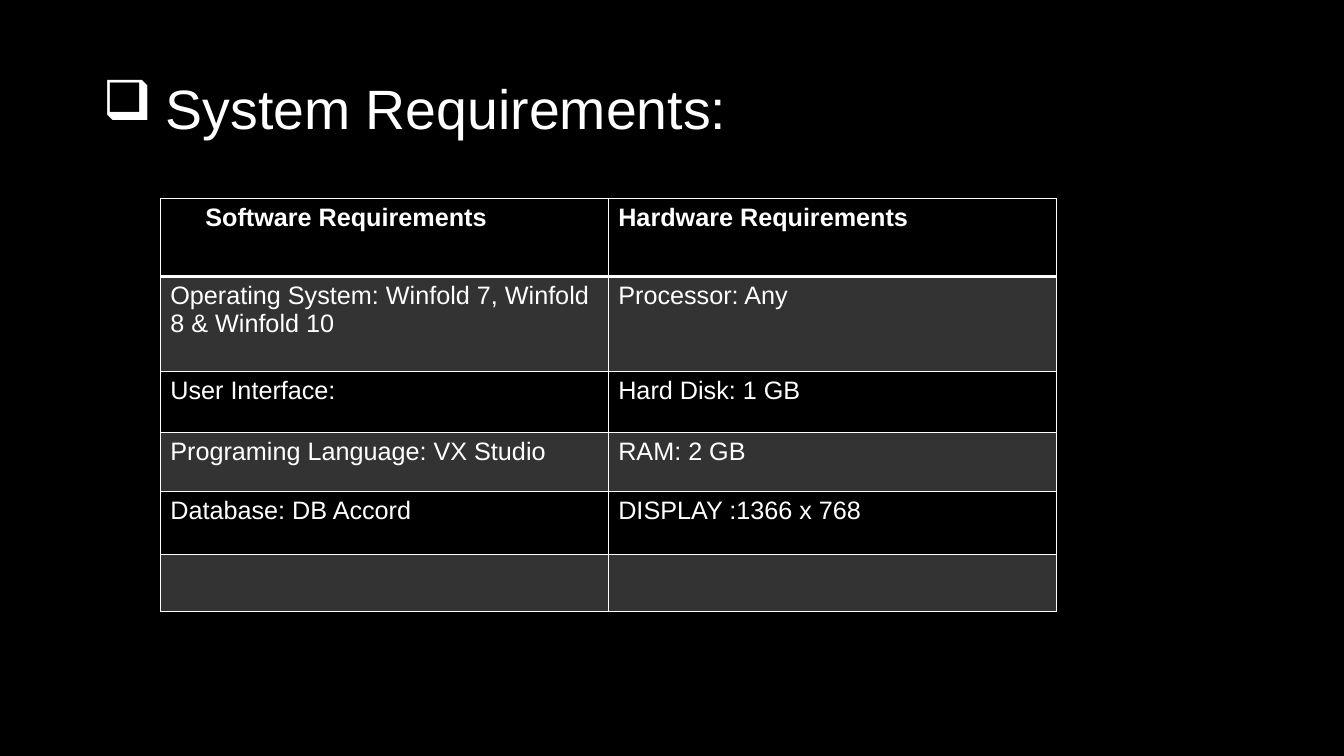
from lxml.etree import SubElement
from pptx import Presentation
from pptx.dml.color import RGBColor
from pptx.enum.text import MSO_ANCHOR, MSO_AUTO_SIZE, PP_ALIGN
from pptx.oxml.ns import qn
from pptx.util import Pt

BLACK, WHITE, BAND = "000000", "FFFFFF", "333333"
ROW_HEIGHTS = [55.6, 68, 43.5, 42.2, 45, 40.8]
REQUIREMENTS = [
    ("Software Requirements", "Hardware Requirements"),
    ("Operating System: Winfold 7, Winfold 8 & Winfold 10", "Processor: Any"),
    ("User Interface:", "Hard Disk: 1 GB"),
    ("Programing Language: VX Studio", "RAM: 2 GB"),
    ("Database: DB Accord", "DISPLAY :1366 x 768"),
    ("", ""),
]


def color(hex_code):
    return RGBColor.from_string(hex_code)


class RequirementsSlide:
    font_name = "Arial"

    def __init__(self, slide):
        self.slide = slide
        self.paint(slide.background.fill, BLACK)

    def paint(self, fill, hex_code):
        fill.solid()
        fill.fore_color.rgb = color(hex_code)

    def style(self, paragraph, size, bold=False):
        font = paragraph.font
        font.name, font.size, font.bold = self.font_name, Pt(size), bold
        font.color.rgb = color(WHITE)

    def indent(self, paragraph, margin, first_line=0):
        properties = paragraph._p.get_or_add_pPr()
        properties.set("marL", str(Pt(margin)))
        properties.set("indent", str(Pt(first_line)))
        return properties

    def title(self, text, left, top, width, height):
        heading = self.slide.shapes.title
        heading.left, heading.top = Pt(left), Pt(top)
        heading.width, heading.height = Pt(width), Pt(height)
        heading.shadow.inherit = False
        self.paint(heading.fill, BLACK)
        frame = heading.text_frame
        frame.text = text
        frame.vertical_anchor = MSO_ANCHOR.MIDDLE
        frame.auto_size = MSO_AUTO_SIZE.NONE
        paragraph = frame.paragraphs[0]
        paragraph.alignment = PP_ALIGN.LEFT
        properties = self.indent(paragraph, 45, -45)
        SubElement(properties, qn("a:buChar"), char="❑")
        self.style(paragraph, 39.6)

    def borders(self, cell, top, bottom):
        properties = cell._tc.get_or_add_tcPr()
        for side, width in zip("LRTB", (1, 1, top, bottom)):
            line = SubElement(properties, qn(f"a:ln{side}"), w=str(Pt(width)))
            fill = SubElement(line, qn("a:solidFill"))
            SubElement(fill, qn("a:srgbClr"), val=WHITE)

    def table(self, rows, heights, left, top, width):
        table = self.slide.shapes.add_table(
            len(rows), len(rows[0]), Pt(left), Pt(top), Pt(width), Pt(sum(heights))
        ).table
        for row_index, (texts, height) in enumerate(zip(rows, heights)):
            table.rows[row_index].height = Pt(height)
            for column_index, text in enumerate(texts):
                cell = table.cell(row_index, column_index)
                cell.text = text
                self.borders(cell, 2 if row_index == 1 else 1, 2 if row_index == 0 else 1)
                self.paint(cell.fill, BAND if row_index % 2 else BLACK)
                paragraph = cell.text_frame.paragraphs[0]
                if row_index == column_index == 0:
                    self.indent(paragraph, 25)
                self.style(paragraph, 18, bold=row_index == 0)


def main():
    deck = Presentation()
    deck.slide_width, deck.slide_height = Pt(960), Pt(540)
    page = RequirementsSlide(deck.slides.add_slide(deck.slide_layouts[5]))
    page.title("System Requirements:", 66.2, 41.8, 496.8, 69.1)
    page.table(REQUIREMENTS, ROW_HEIGHTS, 114.5, 141.8, 640)
    deck.save("out.pptx")


if __name__ == "__main__":
    main()
